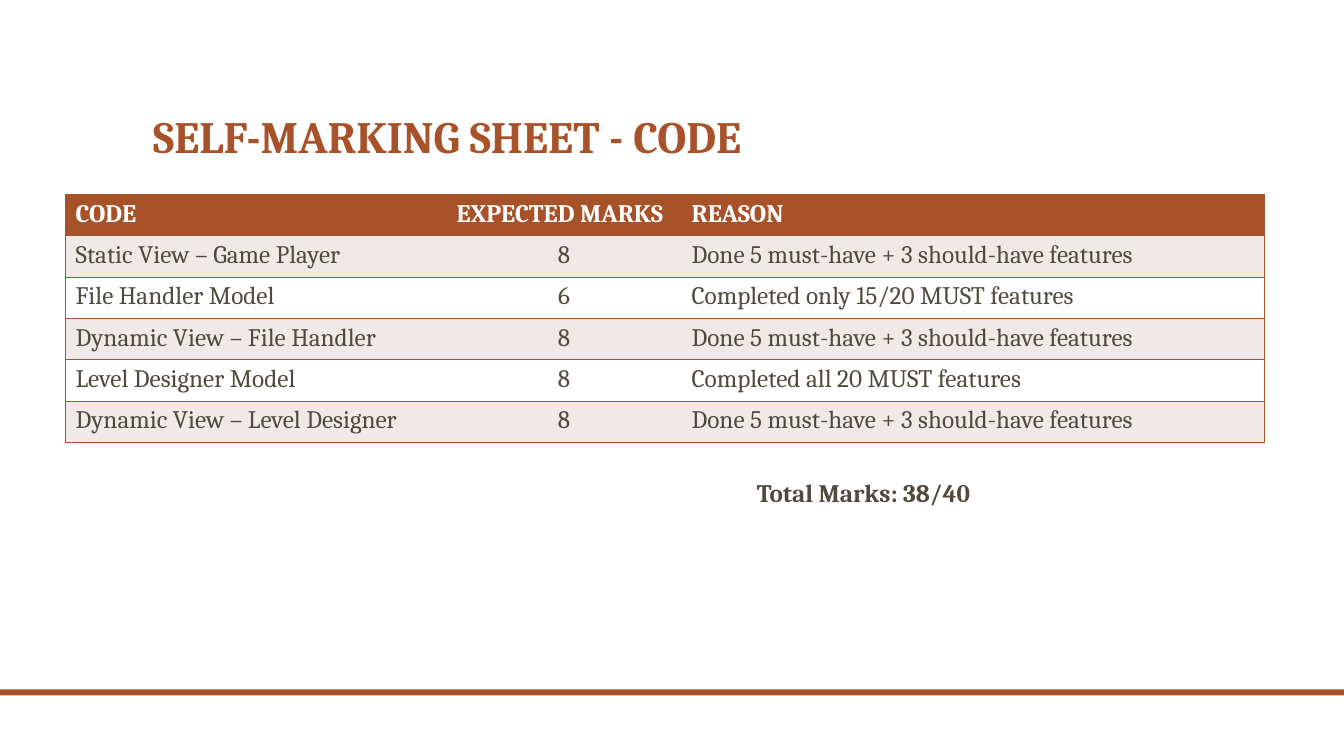
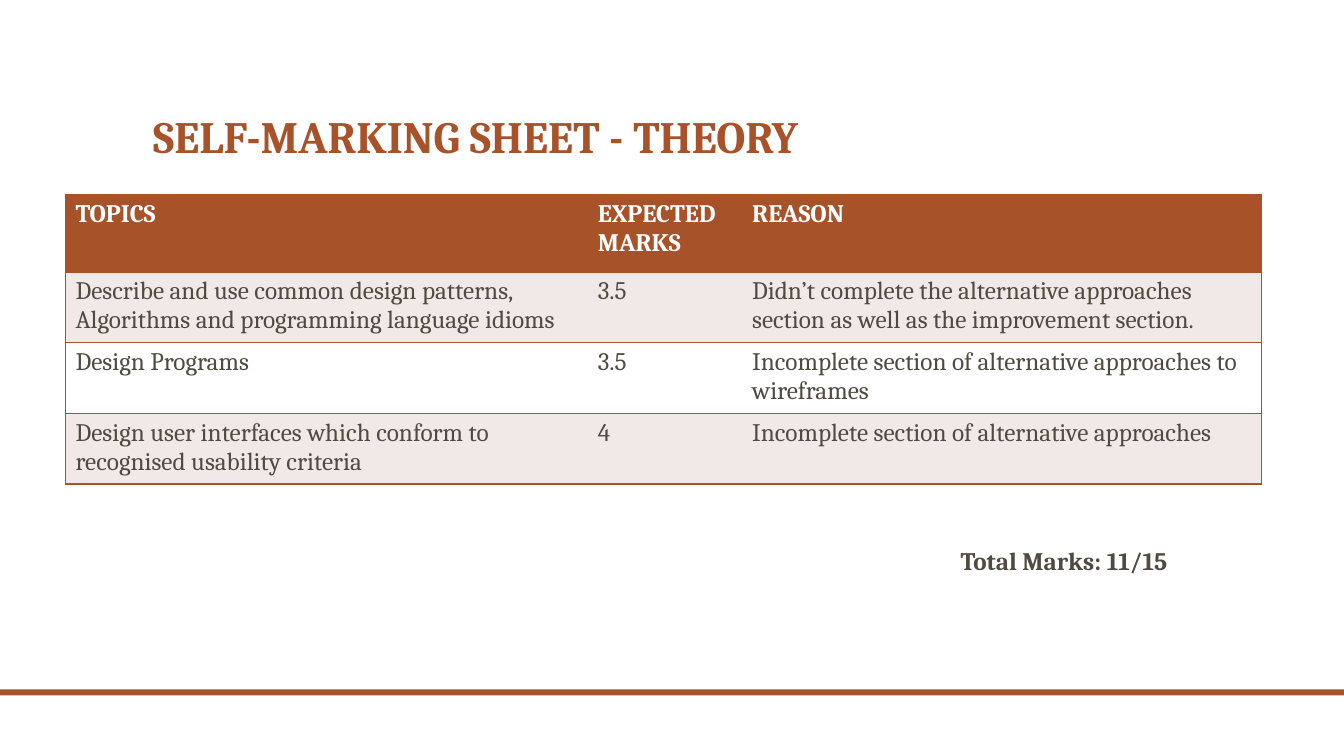
"""Build the two self-marking slides, code and theory."""
import pptx
import pptx.dml.color
import pptx.enum.shapes
import pptx.enum.text
import pptx.oxml.ns
import pptx.util
from lxml import etree

RUST = pptx.dml.color.RGBColor(0xA8, 0x52, 0x29)
INK = pptx.dml.color.RGBColor(0x51, 0x4A, 0x40)
BLUSH = pptx.dml.color.RGBColor(0xF1, 0xE9, 0xE8)
WHITE = pptx.dml.color.RGBColor(0xFF, 0xFF, 0xFF)
FONT = "Cambria"
LEFT_ALIGN = pptx.enum.text.PP_ALIGN.LEFT
CENTER_ALIGN = pptx.enum.text.PP_ALIGN.CENTER
EMU_PER_PX = 9144
SLIDE_WIDTH, SLIDE_HEIGHT = 1333, 750
TABLE_LEFT, TABLE_TOP = 65, 193

SHEETS = [
    {
        "title": "SELF-MARKING SHEET - CODE",
        "columns": [378, 233, 578],
        "header_height": 41,
        "row_height": 41,
        "marks_align": CENTER_ALIGN,
        "rows": [
            ("CODE", "EXPECTED MARKS", "REASON"),
            ("Static View – Game Player", "8", "Done 5 must-have + 3 should-have features"),
            ("File Handler Model", "6", "Completed only 15/20 MUST features"),
            ("Dynamic View – File Handler", "8", "Done 5 must-have + 3 should-have features"),
            ("Level Designer Model", "8", "Completed all 20 MUST features"),
            ("Dynamic View – Level Designer", "8", "Done 5 must-have + 3 should-have features"),
        ],
        "total": "Total Marks: 38/40",
        "total_box": (741, 469, 474, 40),
    },
    {
        "title": "SELF-MARKING SHEET - THEORY",
        "columns": [518, 153, 515],
        "header_height": 77,
        "row_height": 68,
        "marks_align": LEFT_ALIGN,
        "rows": [
            ("TOPICS", "EXPECTED MARKS", "REASON"),
            ("Describe and use common design patterns, Algorithms and programming language idioms", "3.5",
             "Didn’t complete the alternative approaches section as well as the improvement section."),
            ("Design Programs", "3.5", "Incomplete section of alternative approaches to wireframes"),
            ("Design user interfaces which conform to recognised usability criteria", "4",
             "Incomplete section of alternative approaches"),
        ],
        "total": "Total Marks: 11/15",
        "total_box": (943, 536, 298, 40),
    },
]


def px(length):
    return pptx.util.Emu(length * EMU_PER_PX)


def add_run(paragraph, text, size, color, bold):
    run = paragraph.add_run()
    run.text = text
    run.font.name = FONT
    run.font.size = pptx.util.Pt(size)
    run.font.bold = bold
    run.font.color.rgb = color


def add_text(slide, box, text, size, color, anchor=pptx.enum.text.MSO_ANCHOR.TOP, line_spacing=None):
    frame = slide.shapes.add_textbox(*map(px, box)).text_frame
    frame.word_wrap = True
    frame.vertical_anchor = anchor
    paragraph = frame.paragraphs[0]
    paragraph.line_spacing = line_spacing
    add_run(paragraph, text, size, color, True)


def add_frame(slide, title):
    band = slide.shapes.add_shape(
        pptx.enum.shapes.MSO_SHAPE.RECTANGLE, *map(px, (0, 684, SLIDE_WIDTH, 6)))
    band.shadow.inherit = False
    band.fill.solid()
    band.fill.fore_color.rgb = RUST
    band.line.fill.background()
    add_text(slide, (142, 42, 1050, 125), title, 32, RUST,
             pptx.enum.text.MSO_ANCHOR.BOTTOM, 0.9)


def set_borders(cell, edges):
    properties = cell._tc.get_or_add_tcPr()
    for edge in ("lnL", "lnR", "lnT", "lnB"):
        line = etree.SubElement(properties, pptx.oxml.ns.qn("a:" + edge), w=str(pptx.util.Pt(1)))
        if edge in edges:
            fill = etree.SubElement(line, pptx.oxml.ns.qn("a:solidFill"))
            etree.SubElement(fill, pptx.oxml.ns.qn("a:srgbClr"), val=str(RUST))
        else:
            etree.SubElement(line, pptx.oxml.ns.qn("a:noFill"))


def add_marks_table(slide, sheet):
    rows, columns = sheet["rows"], sheet["columns"]
    heights = [sheet["header_height"]] + [sheet["row_height"]] * (len(rows) - 1)
    table = slide.shapes.add_table(
        len(rows), len(columns),
        *map(px, (TABLE_LEFT, TABLE_TOP, sum(columns), sum(heights)))).table
    for column, width in zip(table.columns, columns):
        column.width = px(width)
    for row_index, texts in enumerate(rows):
        table.rows[row_index].height = px(heights[row_index])
        is_header = row_index == 0
        background = RUST if is_header else BLUSH if row_index % 2 else WHITE
        for column_index, text in enumerate(texts):
            cell = table.cell(row_index, column_index)
            edges = {"lnT", "lnB"}
            if column_index == 0:
                edges.add("lnL")
            if column_index == len(columns) - 1:
                edges.add("lnR")
            set_borders(cell, edges)
            cell.fill.solid()
            cell.fill.fore_color.rgb = background
            paragraph = cell.text_frame.paragraphs[0]
            if column_index == 1 and not is_header:
                paragraph.alignment = sheet["marks_align"]
            add_run(paragraph, text, 18, WHITE if is_header else INK, is_header)


def main():
    presentation = pptx.Presentation()
    presentation.slide_width = px(SLIDE_WIDTH)
    presentation.slide_height = px(SLIDE_HEIGHT)
    for sheet in SHEETS:
        slide = presentation.slides.add_slide(presentation.slide_layouts[6])
        add_frame(slide, sheet["title"])
        add_marks_table(slide, sheet)
        add_text(slide, sheet["total_box"], sheet["total"], 18, INK)
    presentation.save("out.pptx")


if __name__ == "__main__":
    main()
